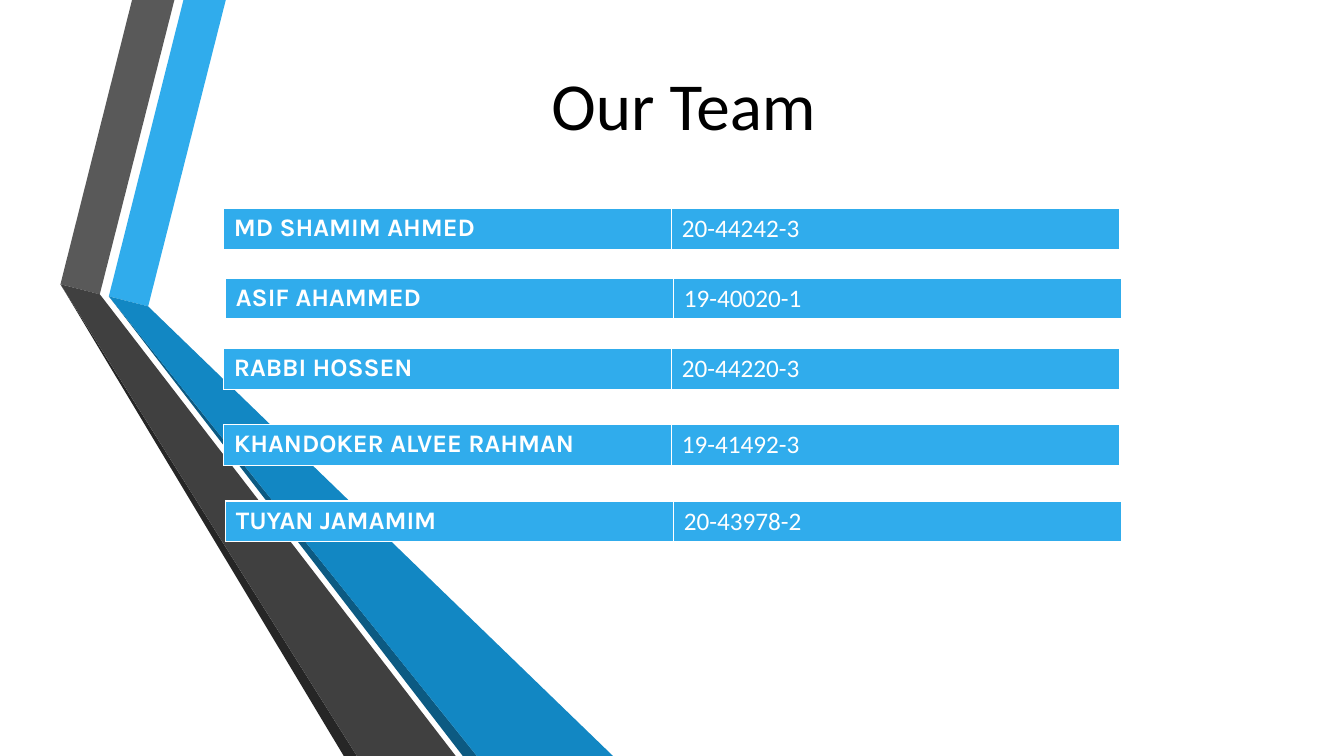
"""Build the team slide: a title, five member bars and a folded ribbon."""
from pptx import Presentation
from pptx.dml.color import RGBColor
from pptx.enum.text import MSO_ANCHOR, PP_ALIGN
from pptx.util import Inches, Pt

CENTER, MIDDLE = PP_ALIGN.CENTER, MSO_ANCHOR.MIDDLE
WIDE, HIGH = 13.33, 7.5
COLORS = {
    "sky": "30ACEC", "blue": "1287C3", "navy": "0C5A82",
    "gray": "595959", "dark": "404040", "coal": "262626",
    "white": "FFFFFF", "black": "000000",
}
TITLE = "Our Team"
TEAM = [
    ("MD SHAMIM AHMED", "20-44242-3", 2.22, 2.07),
    ("ASIF AHAMMED", "19-40020-1", 2.24, 2.76),
    ("RABBI HOSSEN", "20-44220-3", 2.22, 3.46),
    ("KHANDOKER ALVEE RAHMAN", "19-41492-3", 2.22, 4.21),
    ("TUYAN JAMAMIM", "20-43978-2", 2.24, 4.97),
]
BAR_W, BAR_H = WIDE * 2 / 3, 0.4
FOLD_G, FOLD_B = (0.6, 2.82), (1.08, 2.94)
EDGE_G, EDGE_B = (0.99, 2.92), (1.47, 3.04)
RIBBON = [
    ("sky", [FOLD_B, EDGE_B, (2.24, 0), (1.82, 0)]),
    ("gray", [EDGE_G, (1.73, 0), (1.31, 0), FOLD_G]),
    ("coal", [FOLD_G, (3.41, HIGH), (3.54, HIGH)]),
    ("navy", [FOLD_B, (4.59, HIGH), (4.73, HIGH)]),
    ("blue", [FOLD_B, (4.73, HIGH), (6.08, HIGH), EDGE_B]),
    ("dark", [FOLD_G, (3.54, HIGH), (4.52, HIGH), (1.06, 3.01), EDGE_G]),
]


def tint(name):
    return RGBColor.from_string(COLORS[name])


def write(frame, text, size=18, font="Calibri", color="white", bold=False, align=None):
    para = frame.paragraphs[0]
    para.alignment = align
    run = para.add_run()
    run.text = text
    face = run.font
    face.size, face.name, face.bold = Pt(size), font, bold
    face.color.rgb = tint(color)


def add_band(slide, color, points):
    path = [(Inches(x), Inches(y)) for x, y in points]
    pen = slide.shapes.build_freeform(*path[0])
    pen.add_line_segments(path[1:], close=True)
    band = pen.convert_to_shape()
    band.shadow.inherit = False
    band.fill.solid()
    band.fill.fore_color.rgb = tint(color)
    band.line.fill.background()


def add_bar(slide, name, code, left, top):
    box = [Inches(n) for n in (left, top, BAR_W, BAR_H)]
    table = slide.shapes.add_table(1, 2, *box).table
    for cell in table.iter_cells():
        cell.fill.solid()
        cell.fill.fore_color.rgb = tint("sky")
    write(table.cell(0, 0).text_frame, name, font="Karla", bold=True)
    write(table.cell(0, 1).text_frame, code)


def main():
    deck = Presentation()
    deck.slide_width, deck.slide_height = Inches(WIDE), Inches(HIGH)
    slide = deck.slides.add_slide(deck.slide_layouts[5])
    for color, points in RIBBON:
        add_band(slide, color, points)
    for member in TEAM:
        add_bar(slide, *member)
    title = slide.shapes.title
    title.left, title.top = Inches(0.45), Inches(0.63)
    title.width, title.height = Inches(12.66), Inches(0.79)
    title.text_frame.vertical_anchor = MIDDLE
    write(title.text_frame, TITLE, size=48, color="black", align=CENTER)
    deck.save("out.pptx")


if __name__ == "__main__":
    main()
